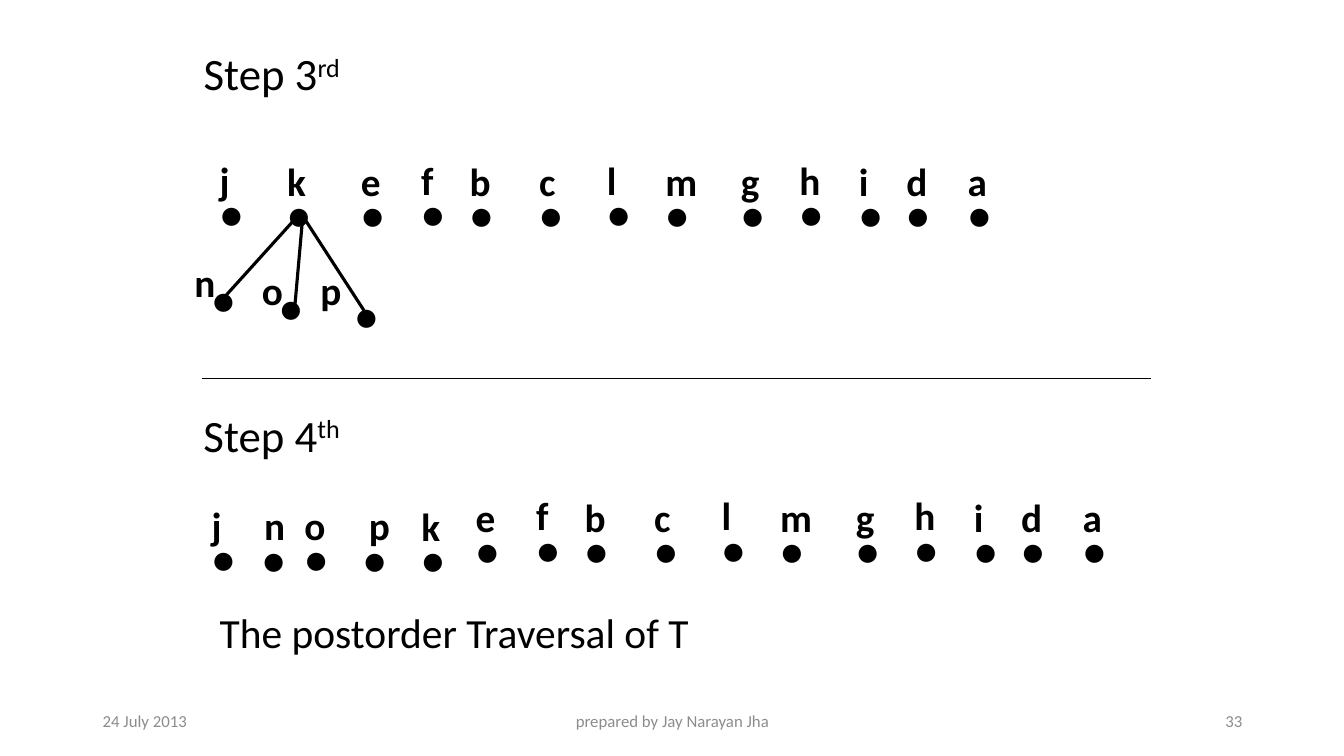
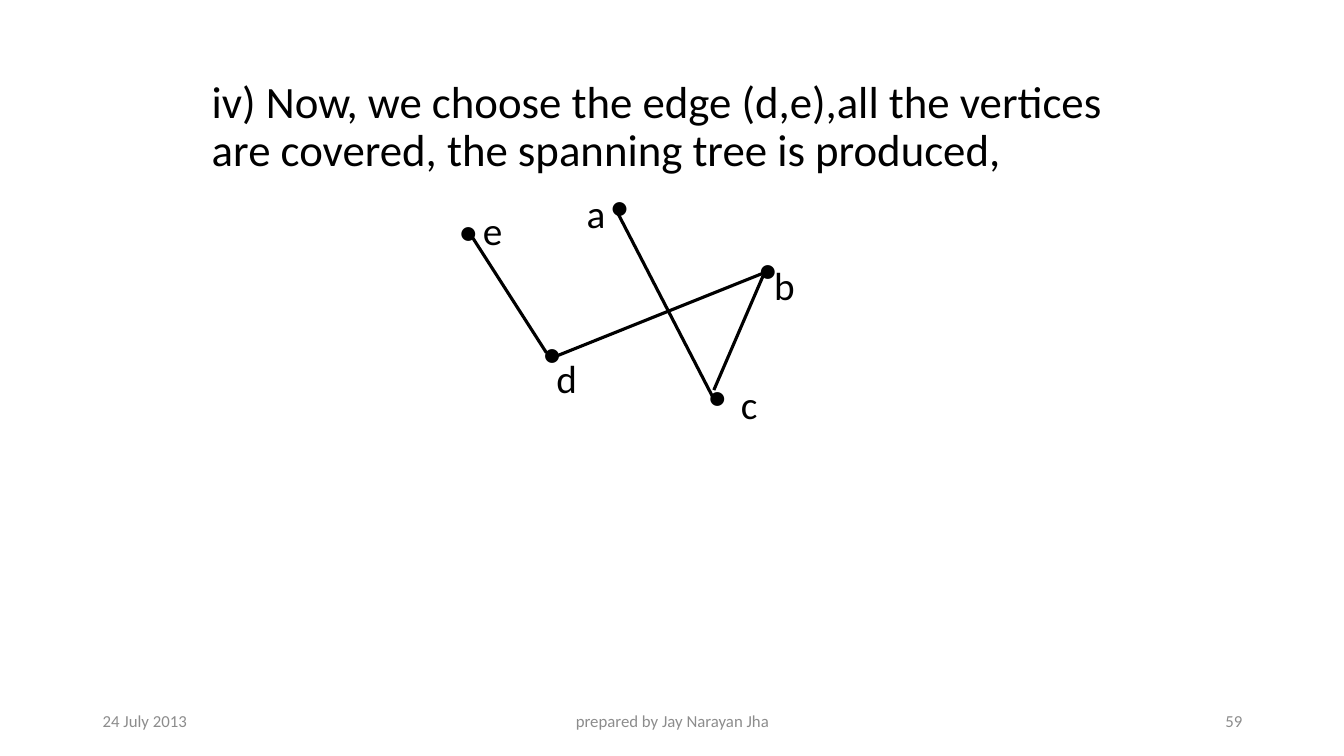
from dataclasses import dataclass

from lxml import etree
from pptx import Presentation
from pptx import util as u
from pptx.dml.color import RGBColor
from pptx.enum import shapes, text
from pptx.oxml.ns import qn

PX = 9144
BLACK = RGBColor(0x00, 0x00, 0x00)
GREY = RGBColor(0x8C, 0x8C, 0x8C)
FONT = "Calibri"
LABEL_SIZE = 28
STEP_SIZE = 32
TITLE_ONLY = 5
LEFT, CENTER, RIGHT = text.PP_ALIGN.LEFT, text.PP_ALIGN.CENTER, text.PP_ALIGN.RIGHT
TOP, MIDDLE = text.MSO_ANCHOR.TOP, text.MSO_ANCHOR.MIDDLE
LABEL_WIDTHS = dict(
    a=40, b=41, c=37, d=41, e=40, f=33, g=39, h=41, i=30, j=30, k=39, l=30, m=52, n=41, o=41, p=41
)


@dataclass(frozen=True)
class Box:
    left: int
    top: int
    width: int
    height: int


@dataclass(frozen=True)
class Run:
    text: str
    superscript: bool = False


@dataclass(frozen=True)
class Node:
    label: str
    label_left: int
    label_top: int
    dot_left: int
    dot_top: int


@dataclass(frozen=True)
class Edge:
    start_x: int
    start_y: int
    end_x: int
    end_y: int


@dataclass(frozen=True)
class NodeStyle:
    dot: str
    dot_width: int
    bold: bool


STEP_NODE = NodeStyle("●", 44, True)
GRAPH_NODE = NodeStyle("•", 38, False)

DATE_BOX = Box(92, 695, 300, 40)
AUTHOR_BOX = Box(442, 695, 450, 40)
NUMBER_BOX = Box(942, 695, 300, 40)

TAIL_OFFSETS = dict(e=0, f=60, b=108, c=177, l=244, m=302, g=377, h=435, i=494, d=541, a=602)
RAISED_LABELS = "fhl"
DOT_DROP = 33

STEP_3_NODES = [
    Node("j", 208, 150, 208, 183),
    Node("k", 275, 151, 275, 184),
    Node("n", 183, 251, 200, 268),
    Node("o", 250, 259, 267, 276),
    Node("p", 308, 259, 342, 284),
]
STEP_3_EDGES = [Edge(292, 218, 217, 301), Edge(300, 218, 292, 309), Edge(361, 308, 302, 217)]
STEP_4_NODES = [
    Node("j", 200, 492, 200, 525),
    Node("n", 252, 492, 250, 526),
    Node("o", 292, 492, 292, 525),
    Node("p", 356, 492, 350, 526),
    Node("k", 408, 493, 408, 526),
]
TREE_NODES = [
    Node("a", 572, 183, 595, 175),
    Node("b", 758, 254, 742, 237),
    Node("c", 725, 372, 692, 363),
    Node("d", 542, 347, 528, 321),
    Node("e", 469, 200, 445, 200),
]
TREE_EDGES = [
    Edge(613, 212, 708, 396),
    Edge(758, 271, 708, 387),
    Edge(550, 354, 767, 267),
    Edge(467, 233, 542, 350),
]


def px(length: int) -> int:
    return u.Emu(length * PX)


def place(shape, box: Box) -> None:
    shape.left, shape.top = px(box.left), px(box.top)
    shape.width, shape.height = px(box.width), px(box.height)


def fill_text(shape, runs: list[Run], size: float, color=BLACK, bold=False, align=LEFT,
              anchor=MIDDLE, wrap=True, grow=False, spacing=None) -> None:
    frame = shape.text_frame
    frame.word_wrap = wrap
    frame.auto_size = text.MSO_AUTO_SIZE.SHAPE_TO_FIT_TEXT if grow else text.MSO_AUTO_SIZE.NONE
    frame.vertical_anchor = anchor
    paragraph = frame.paragraphs[0]
    paragraph.alignment = align
    if spacing:
        paragraph.line_spacing = spacing
    for item in runs:
        run = paragraph.add_run()
        run.text = item.text
        run.font.name = FONT
        run.font.size = u.Pt(size)
        run.font.bold = bold
        run.font.color.rgb = color
        if item.superscript:
            run.font._element.set("baseline", "30000")


def add_text(slide, box: Box, runs: list[Run], size: float, **style) -> None:
    shape = slide.shapes.add_textbox(0, 0, 0, 0)
    place(shape, box)
    fill_text(shape, runs, size, **style)


def add_line(slide, edge: Edge, width: float = 2.25) -> None:
    line = slide.shapes.add_connector(
        shapes.MSO_CONNECTOR.STRAIGHT,
        px(edge.start_x), px(edge.start_y), px(edge.end_x), px(edge.end_y),
    )
    line.line.color.rgb = BLACK
    line.line.width = u.Pt(width)
    etree.SubElement(line._element.spPr, qn("a:effectLst"))


def add_nodes(slide, nodes: list[Node], style: NodeStyle) -> None:
    for node in nodes:
        dot = Box(node.dot_left, node.dot_top, style.dot_width, 57)
        label = Box(node.label_left, node.label_top, LABEL_WIDTHS[node.label], 57)
        for box, content, bold in ((dot, style.dot, False), (label, node.label, style.bold)):
            add_text(slide, box, [Run(content)], LABEL_SIZE, bold=bold,
                     anchor=TOP, wrap=False, grow=True)


def tail_nodes(left: int, top: int) -> list[Node]:
    nodes = []
    for label, offset in TAIL_OFFSETS.items():
        label_top = top - (label in RAISED_LABELS)
        nodes.append(Node(label, left + offset, label_top, left + offset, label_top + DOT_DROP))
    return nodes


def add_slide(presentation, number: int, box: Box, title: list[Run], **style):
    slide = presentation.slides.add_slide(presentation.slide_layouts[TITLE_ONLY])
    place(slide.shapes.title, box)
    fill_text(slide.shapes.title, title, STEP_SIZE, **style)
    for footer_box, content, align in (
        (DATE_BOX, "24 July 2013", LEFT),
        (AUTHOR_BOX, "prepared by Jay Narayan Jha", CENTER),
        (NUMBER_BOX, str(number), RIGHT),
    ):
        add_text(slide, footer_box, [Run(content)], 12, color=GREY, align=align)
    return slide


def build_steps(presentation) -> None:
    slide = add_slide(presentation, 33, Box(192, 33, 333, 78), [Run("Step 3"), Run("rd", True)])
    for edge in STEP_3_EDGES:
        add_line(slide, edge)
    add_nodes(slide, STEP_3_NODES + tail_nodes(348, 151), STEP_NODE)
    add_line(slide, Edge(200, 375, 1142, 375), 0.5)
    add_text(slide, Box(192, 392, 333, 78), [Run("Step 4"), Run("th", True)], STEP_SIZE)
    add_nodes(slide, STEP_4_NODES + tail_nodes(462, 484), STEP_NODE)
    add_text(slide, Box(208, 588, 500, 78), [Run("The postorder Traversal of T")], 29.6)


def build_spanning_tree(presentation) -> None:
    title = "iv) Now, we choose the edge (d,e),all the vertices are covered, the spanning tree is produced,"
    slide = add_slide(presentation, 59, Box(200, 74, 917, 108), [Run(title)],
                      anchor=TOP, spacing=0.9)
    for edge in TREE_EDGES:
        add_line(slide, edge)
    add_nodes(slide, TREE_NODES, GRAPH_NODE)


def main() -> None:
    presentation = Presentation()
    presentation.slide_width, presentation.slide_height = px(1333), px(750)
    build_steps(presentation)
    build_spanning_tree(presentation)
    presentation.save("out.pptx")


if __name__ == "__main__":
    main()
